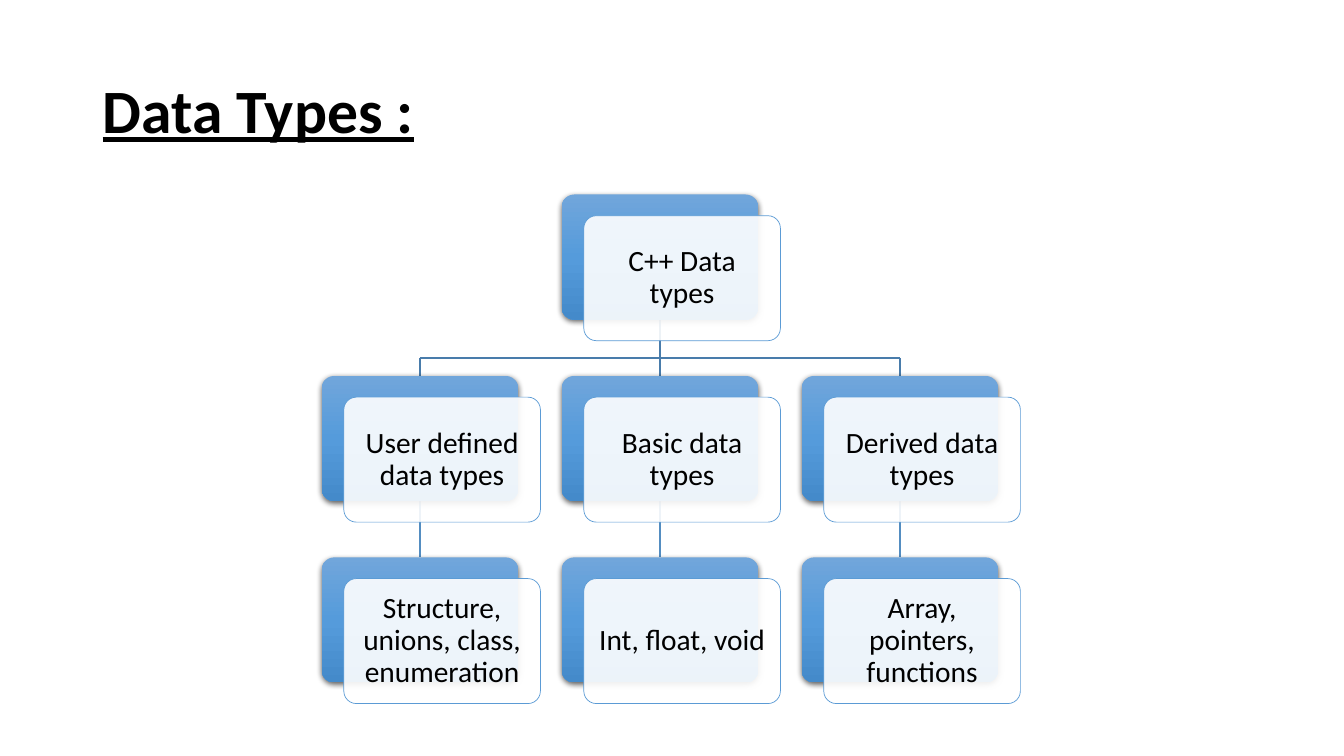
from pptx import Presentation
from pptx.dml.color import RGBColor
from pptx.enum.shapes import MSO_CONNECTOR, MSO_SHAPE
from pptx.enum.text import MSO_ANCHOR, PP_ALIGN
from pptx.oxml.ns import qn
from pptx.util import Inches, Pt
from lxml import etree

TITLE = "Data Types :"
ROOT = "C++ Data types"
BRANCHES = [
    ("User defined data types", "Structure, unions, class, enumeration"),
    ("Basic data types", "Int, float, void"),
    ("Derived data types", "Array, pointers, functions"),
]

COLORS = {"text": "000000", "card": "FFFFFF", "border": "5B9BD5",
          "upper_link": "497CAB", "lower_link": "538DC1", "shadow": "000000"}
GRADIENT = [(0, "71A6DB"), (50, "559BDB"), (100, "448ACA")]
FONT = "Calibri"

# Grid of the tree, in inches
LEFT, TOP = 3.19, 1.93
COLUMN, ROW = 2.38, 1.8
BOX_W, BOX_H = 1.95, 1.24
SHIFT_X, SHIFT_Y = 0.22, 0.21
BUS_Y = 3.55

prs = Presentation()
prs.slide_width, prs.slide_height = Inches(13.33), Inches(7.5)
slide = prs.slides.add_slide(prs.slide_layouts[6])


def rgb(name):
    """Return the named palette colour."""
    return RGBColor.from_string(COLORS[name])


def add_child(parent, tag, **attributes):
    """Append a DrawingML element to parent."""
    return etree.SubElement(parent, qn(tag), {k: str(v) for k, v in attributes.items()})


def write(shape, text, size, align, inset, bold=False):
    """Put one middle-anchored paragraph in a shape."""
    frame = shape.text_frame
    frame.word_wrap = True
    frame.vertical_anchor = MSO_ANCHOR.MIDDLE
    frame.margin_left = frame.margin_right = Inches(inset)
    frame.margin_top = frame.margin_bottom = Inches(inset)
    paragraph = frame.paragraphs[0]
    paragraph.alignment, paragraph.line_spacing = align, 0.9
    run = paragraph.add_run()
    run.text = text
    run.font.name, run.font.size = FONT, Pt(size)
    run.font.bold = run.font.underline = bold
    run.font.color.rgb = rgb("text")


def add_link(x1, y1, x2, y2, color):
    """Draw one straight segment of the tree."""
    link = slide.shapes.add_connector(
        MSO_CONNECTOR.STRAIGHT, *(Inches(v) for v in (x1, y1, x2, y2)))
    link.line.color.rgb, link.line.width = rgb(color), Pt(1)
    add_child(link._element.spPr, "a:effectLst")


def add_box(x, y):
    """Add a rounded box without the theme's shadow."""
    box = slide.shapes.add_shape(
        MSO_SHAPE.ROUNDED_RECTANGLE, *(Inches(v) for v in (x, y, BOX_W, BOX_H)))
    box.adjustments[0] = 0.1
    box.shadow.inherit = False
    return box


def add_node(column, row, text):
    """Draw a shaded back box and the translucent text card over it."""
    x, y = LEFT + column * COLUMN, TOP + row * ROW
    back = add_box(x, y)
    back.line.fill.background()
    back.fill.gradient()
    back.fill.gradient_angle = 270
    stops = back._element.spPr.find(".//" + qn("a:gsLst"))
    for stop in list(stops):
        stops.remove(stop)
    for position, color in GRADIENT:
        stop = add_child(stops, "a:gs", pos=position * 1000)
        add_child(stop, "a:srgbClr", val=color)
    effects = back._element.spPr.find(qn("a:effectLst"))
    shadow = add_child(effects, "a:outerShdw", blurRad=Pt(4.5), dist=Pt(1.5),
                       dir=5400000, algn="ctr", rotWithShape=0)
    shade = add_child(shadow, "a:srgbClr", val=COLORS["shadow"])
    add_child(shade, "a:alpha", val=63000)

    card = add_box(x + SHIFT_X, y + SHIFT_Y)
    card.fill.solid()
    card.fill.fore_color.rgb = rgb("card")
    add_child(card._element.spPr.find(".//" + qn("a:srgbClr")), "a:alpha", val=90000)
    card.line.color.rgb, card.line.width = rgb("border"), Pt(0.5)
    write(card, text, 21, PP_ALIGN.CENTER, 0.09)


title = slide.shapes.add_textbox(Inches(0.92), Inches(0.4), Inches(11.5), Inches(1.45))
write(title, TITLE, 44, PP_ALIGN.LEFT, 0.1, bold=True)

centers = [LEFT + BOX_W / 2 + i * COLUMN for i in range(len(BRANCHES))]
middle = len(BRANCHES) // 2
row_tops = [TOP + i * ROW for i in range(3)]
add_link(centers[middle], row_tops[0] + BOX_H, centers[middle], BUS_Y, "upper_link")
add_link(centers[0], BUS_Y, centers[-1], BUS_Y, "upper_link")
for center in centers:
    add_link(center, BUS_Y, center, row_tops[1], "upper_link")
    add_link(center, row_tops[1] + BOX_H, center, row_tops[2], "lower_link")

add_node(middle, 0, ROOT)
for column, labels in enumerate(BRANCHES):
    for row, label in enumerate(labels, start=1):
        add_node(column, row, label)

prs.save("out.pptx")
